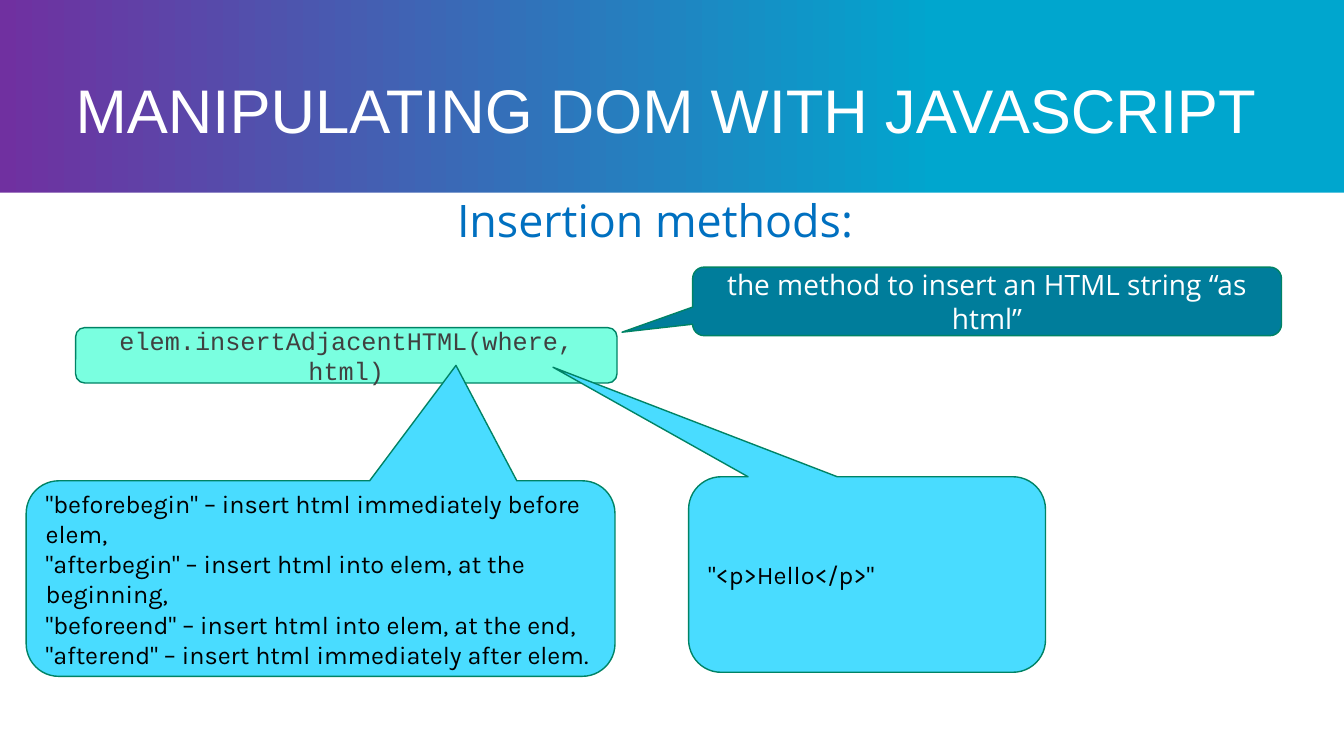
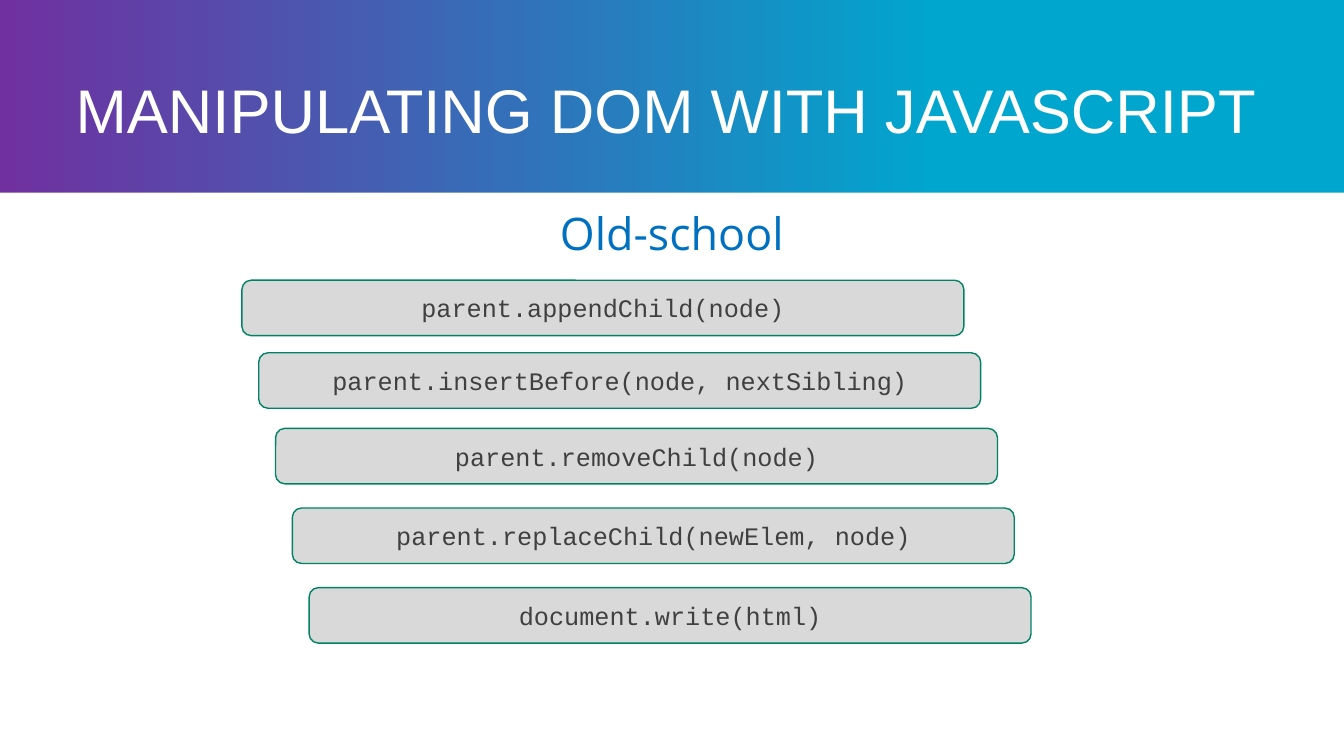
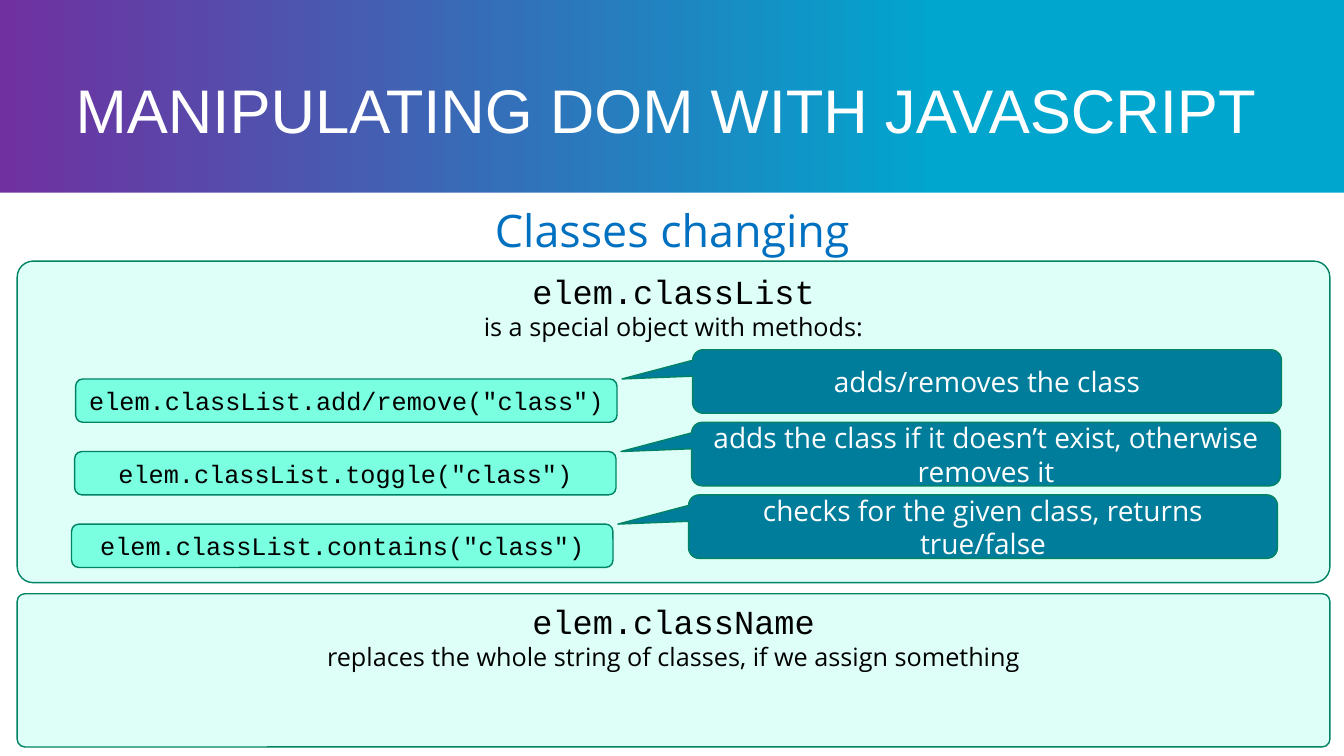
from copy import deepcopy

from lxml import etree
from pptx import Presentation
from pptx.dml.color import RGBColor
from pptx.enum import shapes, text
from pptx.oxml.ns import qn
from pptx.util import Inches, Pt

COLORS = {
    "cyan": "00A6CE", "purple": "7030A0", "white": "FFFFFF", "black": "000000",
    "heading": "0070C0", "outline": "008365", "note": "007D9B", "mint": "7AFFE0",
    "pale_mint": "BCFFF0", "sky": "49DCFF", "gray": "D9D9D9", "code": "404040",
}
HEADING_FONT, BODY_FONT, CODE_FONT, DETAIL_FONT = "Arial", "Open Sans", "Courier New", "Karla"
ROUNDED = shapes.MSO_SHAPE.ROUNDED_RECTANGLE
CALLOUT = shapes.MSO_SHAPE.ROUNDED_RECTANGULAR_CALLOUT
LEFT, CENTER = text.PP_ALIGN.LEFT, text.PP_ALIGN.CENTER
TITLE = "MANIPULATING DOM WITH JAVASCRIPT"


def color(name):
    return RGBColor.from_string(COLORS[name])


def inches(box):
    return [Inches(length) for length in box]


def write(frame, lines, align=CENTER):
    frame.word_wrap = True
    for index, (line, font, size, shade) in enumerate(lines):
        paragraph = frame.paragraphs[0] if index == 0 else frame.add_paragraph()
        paragraph.text = line
        paragraph.alignment = align
        paragraph.font.name = font
        paragraph.font.size = Pt(size)
        paragraph.font.color.rgb = color(shade)


def add_box(slide, kind, box, fill, lines, align=CENTER, adjustments=(),
            anchor=text.MSO_ANCHOR.MIDDLE):
    shape = slide.shapes.add_shape(kind, *inches(box))
    shape.shadow.inherit = False
    shape.fill.solid()
    shape.fill.fore_color.rgb = color(fill)
    shape.line.color.rgb = color("outline")
    shape.line.width = Pt(1)
    for index, value in enumerate(adjustments):
        shape.adjustments[index] = value
    shape.text_frame.vertical_anchor = anchor
    write(shape.text_frame, lines, align)
    return shape


def add_code(slide, box, code, fill="mint", shade="code"):
    add_box(slide, ROUNDED, box, fill, [(code, CODE_FONT, 18, shade)])


def add_note(slide, box, note, tip):
    add_box(slide, CALLOUT, box, "note", [(note, BODY_FONT, 20, "white")], adjustments=tip)


def add_detail(slide, box, details, tip):
    lines = [(detail, DETAIL_FONT, 18, "black") for detail in details]
    add_box(slide, CALLOUT, box, "sky", lines, LEFT, tip)


def add_panel(slide, box, code, description):
    lines = [(code, CODE_FONT, 24, "black"), (description, BODY_FONT, 18, "black")]
    panel = add_box(slide, ROUNDED, box, "pale_mint", lines, adjustments=[0.05],
                    anchor=text.MSO_ANCHOR.TOP)
    fill_color = panel.element.spPr.find(qn("a:solidFill"))[0]
    etree.SubElement(fill_color, qn("a:alpha")).set("val", "50000")


def add_method_row(slide, left, top, code, note):
    add_note(slide, (left + 6.12, top - 0.29, 5.84, 0.63), note, (-0.62, -0.04))
    add_code(slide, (left, top, 5.37, 0.43), code, shade="black")


def style_layout(layout):
    fill = layout.background.fill
    fill.gradient()
    fill.gradient_angle = 180
    stop_list = layout.element.find(".//" + qn("a:gsLst"))
    stop_list.insert(0, deepcopy(stop_list[0]))
    stops = ((0, "cyan"), (0.3, "cyan"), (1, "purple"))
    for stop, (position, name) in zip(fill.gradient_stops, stops):
        stop.position = position
        stop.color.rgb = color(name)
    title = layout.placeholders[0]
    title.left, title.top, title.width, title.height = inches((0.75, 0.75, 11.83, 0.75))


def move_panel_to_layout(slide, layout):
    panel = slide.shapes.add_shape(shapes.MSO_SHAPE.RECTANGLE, *inches((0, 1.91, 13.33, 5.59)))
    panel.shadow.inherit = False
    panel.fill.solid()
    panel.fill.fore_color.rgb = color("white")
    panel.line.fill.background()
    layout.shapes.element.insert(2, panel.element)


def add_topic_slide(presentation, layout, heading, heading_box):
    slide = presentation.slides.add_slide(layout)
    frame = slide.shapes.title.text_frame
    frame.auto_size = text.MSO_AUTO_SIZE.NONE
    frame.vertical_anchor = text.MSO_ANCHOR.MIDDLE
    frame.margin_left = 0
    write(frame, [(TITLE, HEADING_FONT, 44, "white")], LEFT)
    frame.paragraphs[0].line_spacing = 0.9
    heading_shape = slide.shapes.add_textbox(*inches(heading_box))
    write(heading_shape.text_frame, [(heading, BODY_FONT, 32, "heading")])
    return slide


def build_insertion(presentation, layout):
    slide = add_topic_slide(presentation, layout, "Insertion methods:", (3.78, 1.86, 5.44, 0.64))
    move_panel_to_layout(slide, layout)
    add_note(slide, (6.87, 2.65, 5.84, 0.68),
             "the method to insert an HTML string “as html”", (-0.62, 0.45))
    add_code(slide, (0.75, 3.25, 5.37, 0.55), "elem.insertAdjacentHTML(where, html)")
    add_detail(slide, (0.26, 4.77, 5.84, 1.94), [
        '"beforebegin" – insert html immediately before elem,',
        '"afterbegin" – insert html into elem, at the beginning,',
        '"beforeend" – insert html into elem, at the end,',
        '"afterend" – insert html immediately after elem.',
    ], (0.23, -1.09))
    add_detail(slide, (6.83, 4.73, 3.54, 1.94), ['"<p>Hello</p>"'], (-0.88, -1.06))


def build_old_school(presentation, layout):
    slide = add_topic_slide(presentation, layout, "Old-school", (5.03, 1.99, 3.27, 0.64))
    methods = [
        (2.78, "parent.appendChild(node)"),
        (3.5, "parent.insertBefore(node, nextSibling)"),
        (4.25, "parent.removeChild(node)"),
        (5.04, "parent.replaceChild(newElem, node)"),
        (5.83, "document.write(html)"),
    ]
    for index, (top, code) in enumerate(methods):
        add_code(slide, (2.4 + index / 6, top, 7.16, 0.55), code, "gray")


def build_classes(presentation, layout):
    slide = add_topic_slide(presentation, layout, "Classes changing", (4.65, 1.96, 4.04, 0.64))
    add_panel(slide, (0.17, 2.59, 13.02, 3.19), "elem.classList",
              "is a special object with methods:")
    add_panel(slide, (0.17, 5.89, 13.02, 1.52), "elem.className",
              "replaces the whole string of classes, if we assign something")
    methods = [
        (0.75, 'elem.classList.add/remove("class")', "adds/removes the class"),
        (0.74, 'elem.classList.toggle("class")',
         "adds the class if it doesn’t exist, otherwise removes it"),
        (0.71, 'elem.classList.contains("class")',
         "checks for the given class, returns true/false"),
    ]
    for index, (left, code, note) in enumerate(methods):
        add_method_row(slide, left, 3.76 + 0.72 * index, code, note)


def main():
    presentation = Presentation()
    presentation.slide_width, presentation.slide_height = inches((13.33, 7.5))
    layout = presentation.slide_layouts.get_by_name("Title Only")
    style_layout(layout)
    for build in (build_insertion, build_old_school, build_classes):
        build(presentation, layout)
    presentation.save("out.pptx")


if __name__ == "__main__":
    main()
